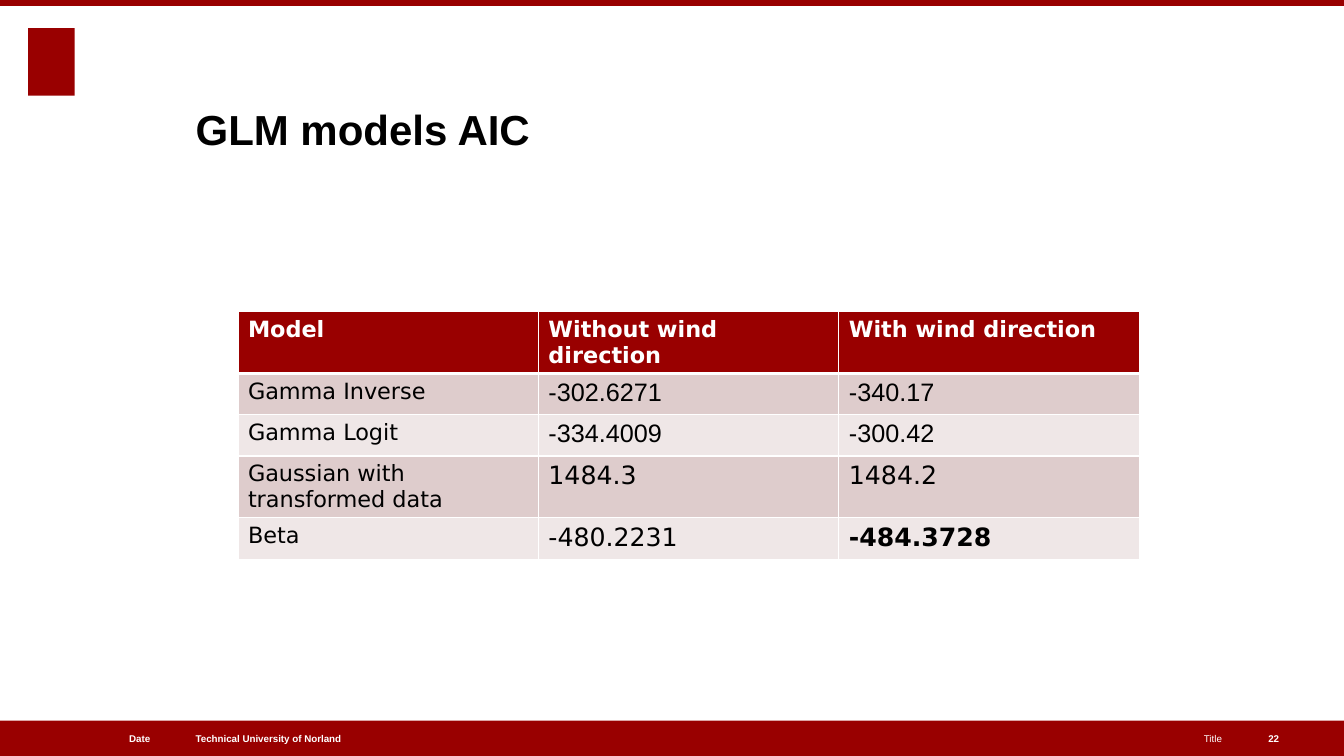
from lxml.etree import SubElement
from pptx import Presentation
from pptx.dml.color import RGBColor
from pptx.enum.shapes import MSO_SHAPE
from pptx.enum.text import MSO_ANCHOR as Anchor, MSO_AUTO_SIZE as AutoSize, PP_ALIGN as Align
from pptx.oxml.ns import qn
from pptx.util import Inches, Pt

RED = RGBColor(0x99, 0x00, 0x00)
DARK_BAND = RGBColor(0xDE, 0xCC, 0xCC)
LIGHT_BAND = RGBColor(0xEF, 0xE7, 0xE7)
WHITE = RGBColor(0xFF, 0xFF, 0xFF)
BLACK = RGBColor(0x00, 0x00, 0x00)
SANS, WIDE = "Arial", "DejaVu Sans"

FOOTER_TOP, FOOTER_HEIGHT = 7.15, 0.35
FOOTERS = [
    ("Technical University of Norland", 1.94, 3.72, Align.LEFT, True),
    ("Date", 0.28, 1.21, Align.RIGHT, True),
    ("Title", 6.11, 6.01, Align.RIGHT, False),
    ("22", 12.58, 0.47, Align.LEFT, True),
]
AIC_ROWS = [
    ("Model", "Without wind direction", "With wind direction"),
    ("Gamma Inverse", "-302.6271", "-340.17"),
    ("Gamma Logit", "-334.4009", "-300.42"),
    ("Gaussian with transformed data", "1484.3", "1484.2"),
    ("Beta", "-480.2231", "-484.3728"),
]
ROW_HEIGHTS = [0.61, 0.41, 0.41, 0.61, 0.41]
COLUMN_WIDTH = 2.98
BEST_AIC = "-484.3728"
ARIAL_ROWS = (1, 2)


def write(frame, text, size, font=SANS, color=BLACK, bold=False, align=Align.LEFT):
    paragraph = frame.paragraphs[0]
    paragraph.alignment = align
    run = paragraph.add_run()
    run.text = text
    run.font.size = Pt(size)
    run.font.name = font
    run.font.bold = bold
    run.font.color.rgb = color


def border_cell(cell, widths):
    properties = cell._tc.get_or_add_tcPr()
    for index, (side, width) in enumerate(zip("LRTB", widths)):
        line = SubElement(properties, qn(f"a:ln{side}"), w=str(Pt(width)))
        fill = SubElement(line, qn("a:solidFill"))
        SubElement(fill, qn("a:srgbClr"), val=str(WHITE))
        properties.insert(index, line)


class SlideBuilder:
    """Builds the elements of one slide in the house style."""

    def __init__(self, presentation):
        self.slide = presentation.slides.add_slide(presentation.slide_layouts[5])

    def block(self, left, top, width, height):
        shape = self.slide.shapes.add_shape(
            MSO_SHAPE.RECTANGLE, Inches(left), Inches(top), Inches(width), Inches(height))
        shape.shadow.inherit = False
        shape.fill.solid()
        shape.fill.fore_color.rgb = RED
        shape.line.fill.background()

    def prepare_frame(self, frame, anchor):
        frame.margin_left = frame.margin_right = frame.margin_top = frame.margin_bottom = 0
        frame.word_wrap = True
        frame.auto_size = AutoSize.NONE
        frame.vertical_anchor = anchor

    def title(self, text, left, top, width, height):
        shape = self.slide.shapes.title
        shape.left, shape.top = Inches(left), Inches(top)
        shape.width, shape.height = Inches(width), Inches(height)
        self.prepare_frame(shape.text_frame, Anchor.BOTTOM)
        write(shape.text_frame, text, 30, bold=True)

    def footer(self, text, left, width, align, bold):
        shape = self.slide.shapes.add_textbox(
            Inches(left), Inches(FOOTER_TOP), Inches(width), Inches(FOOTER_HEIGHT))
        self.prepare_frame(shape.text_frame, Anchor.MIDDLE)
        write(shape.text_frame, text, 7, color=WHITE, bold=bold, align=align)

    def aic_table(self, left, top):
        columns = len(AIC_ROWS[0])
        table = self.slide.shapes.add_table(
            len(AIC_ROWS), columns, Inches(left), Inches(top),
            Inches(COLUMN_WIDTH * columns), Inches(sum(ROW_HEIGHTS))).table
        table.horz_banding = False
        for column in table.columns:
            column.width = Inches(COLUMN_WIDTH)
        for row_index, (row, height) in enumerate(zip(AIC_ROWS, ROW_HEIGHTS)):
            table.rows[row_index].height = Inches(height)
            header = row_index == 0
            band = RED if header else DARK_BAND if row_index % 2 else LIGHT_BAND
            for column_index, text in enumerate(row):
                cell = table.cell(row_index, column_index)
                cell.fill.solid()
                cell.fill.fore_color.rgb = band
                border_cell(cell, (1, 1, 3 if row_index == 1 else 1, 3 if header else 1))
                value = column_index > 0 and not header
                write(cell.text_frame, text, 18 if value else 16,
                      font=SANS if value and row_index in ARIAL_ROWS else WIDE,
                      color=WHITE if header else BLACK,
                      bold=header or text == BEST_AIC)


def main():
    presentation = Presentation()
    presentation.slide_width, presentation.slide_height = Inches(13.33), Inches(7.5)
    builder = SlideBuilder(presentation)
    builder.block(0, FOOTER_TOP, 13.33, FOOTER_HEIGHT)
    builder.block(0.28, 0.28, 0.46, 0.67)
    builder.block(0, 0, 13.33, 0.06)
    builder.title("GLM models AIC", 1.94, 0.47, 10.18, 1.06)
    for footer in FOOTERS:
        builder.footer(*footer)
    builder.aic_table(2.36, 3.09)
    presentation.save("out.pptx")


if __name__ == "__main__":
    main()
